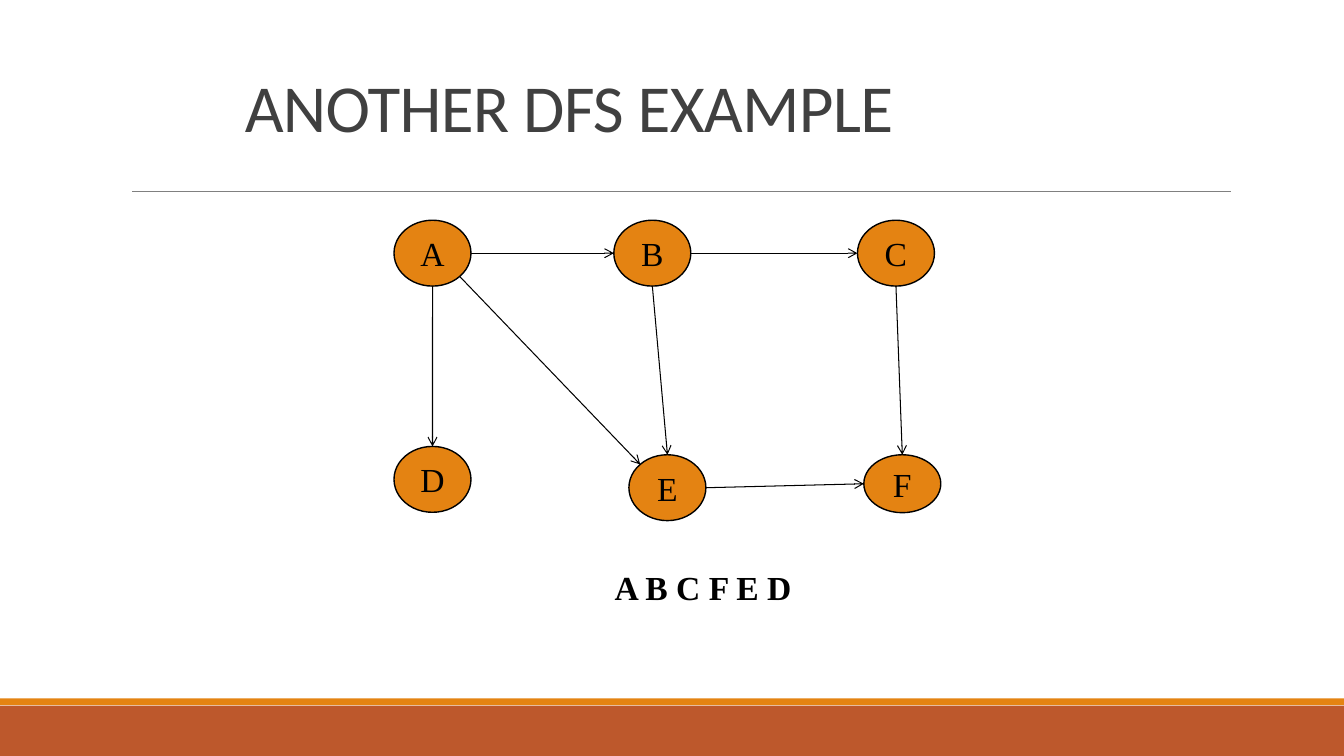
from math import cos, radians, sin

from lxml.etree import SubElement
from pptx import Presentation
from pptx.dml.color import RGBColor
from pptx.enum.shapes import MSO_CONNECTOR, MSO_SHAPE
from pptx.enum.text import MSO_ANCHOR, PP_ALIGN
from pptx.oxml.ns import qn
from pptx.util import Cm, Pt

SLIDE_WIDTH = 33.87
SLIDE_HEIGHT = 19.05
ORANGE = "E48312"
BLACK = "000000"
SERIF = "Times New Roman"

NODE_WIDTH = 1.94
NODES = {
    "A": (9.93, 5.55, 1.66),
    "D": (9.93, 11.25, 1.66),
    "E": (15.85, 11.46, 1.66),
    "B": (15.47, 5.55, 1.66),
    "F": (21.77, 11.46, 1.46),
    "C": (21.61, 5.55, 1.66),
}
RIGHT, LOWER_RIGHT, BOTTOM, LEFT, UPPER_LEFT, TOP = 0, 45, 90, 180, 225, 270
EDGES = [
    ("A", RIGHT, "B", LEFT),
    ("A", LOWER_RIGHT, "E", UPPER_LEFT),
    ("A", BOTTOM, "D", TOP),
    ("B", RIGHT, "C", LEFT),
    ("B", BOTTOM, "E", TOP),
    ("C", BOTTOM, "F", TOP),
    ("E", RIGHT, "F", LEFT),
]


def color(value):
    return RGBColor.from_string(value)


def write_text(shape, text, size=24, font=SERIF, fill=BLACK, bold=False,
               align=PP_ALIGN.LEFT, anchor=MSO_ANCHOR.TOP, wrap=True,
               line_spacing=None, tracking=None):
    frame = shape.text_frame
    frame.word_wrap = wrap
    frame.vertical_anchor = anchor
    paragraph = frame.paragraphs[0]
    paragraph.alignment = align
    paragraph.line_spacing = line_spacing
    run = paragraph.add_run()
    run.text = text
    run.font.size = Pt(size)
    run.font.name = font
    run.font.bold = bold
    run.font.color.rgb = color(fill)
    if tracking is not None:
        run.font._element.set("spc", str(round(tracking * 100)))


def add_text(slide, text, left, top, width, height, **text_format):
    box = slide.shapes.add_textbox(Cm(left), Cm(top), Cm(width), Cm(height))
    write_text(box, text, **text_format)


def add_filled(slide, kind, left, top, width, height, fill, outline=None):
    shape = slide.shapes.add_shape(kind, Cm(left), Cm(top), Cm(width), Cm(height))
    shape.shadow.inherit = False
    shape.fill.solid()
    shape.fill.fore_color.rgb = color(fill)
    if outline:
        shape.line.color.rgb = color(outline)
        shape.line.width = Pt(1)
    else:
        shape.line.fill.background()
    return shape


def add_line(slide, start, end, stroke, width, arrow=False):
    points = [Cm(value) for value in (*start, *end)]
    line = slide.shapes.add_connector(MSO_CONNECTOR.STRAIGHT, *points)
    line.line.color.rgb = color(stroke)
    line.line.width = Pt(width)
    if arrow:
        SubElement(line.line._get_or_add_ln(), qn("a:tailEnd"), type="arrow")
    SubElement(line._element.spPr, qn("a:effectLst"))


def add_node(slide, name):
    left, top, height = NODES[name]
    node = add_filled(slide, MSO_SHAPE.OVAL, left, top, NODE_WIDTH, height,
                      ORANGE, outline=BLACK)
    write_text(node, name, align=PP_ALIGN.CENTER, anchor=MSO_ANCHOR.MIDDLE,
               wrap=False)


def node_edge(name, angle):
    left, top, height = NODES[name]
    return (left + NODE_WIDTH / 2 * (1 + cos(radians(angle))),
            top + height / 2 * (1 + sin(radians(angle))))


def main():
    presentation = Presentation()
    presentation.slide_width = Cm(SLIDE_WIDTH)
    presentation.slide_height = Cm(SLIDE_HEIGHT)
    slide = presentation.slides.add_slide(presentation.slide_layouts[6])

    add_filled(slide, MSO_SHAPE.RECTANGLE, 0, 17.78, SLIDE_WIDTH, 1.27, "BD582C")
    add_filled(slide, MSO_SHAPE.RECTANGLE, 0, 17.6, SLIDE_WIDTH, 0.17, ORANGE)
    add_line(slide, (3.33, 4.83), (31.01, 4.83), "808080", 0.5)
    add_text(slide, "ANOTHER DFS EXAMPLE", 5.92, 0.64, 22.86, 3.18, size=48,
             font="Calibri", fill="404040", anchor=MSO_ANCHOR.BOTTOM,
             line_spacing=0.85, tracking=-0.5)

    for name in NODES:
        add_node(slide, name)
    for source, exit_angle, target, entry_angle in EDGES:
        add_line(slide, node_edge(source, exit_angle),
                 node_edge(target, entry_angle), BLACK, 0.75, arrow=True)
    add_text(slide, "A B C F E D", 15.24, 14.17, 5.72, 1.28, bold=True)

    presentation.save("out.pptx")


if __name__ == "__main__":
    main()
